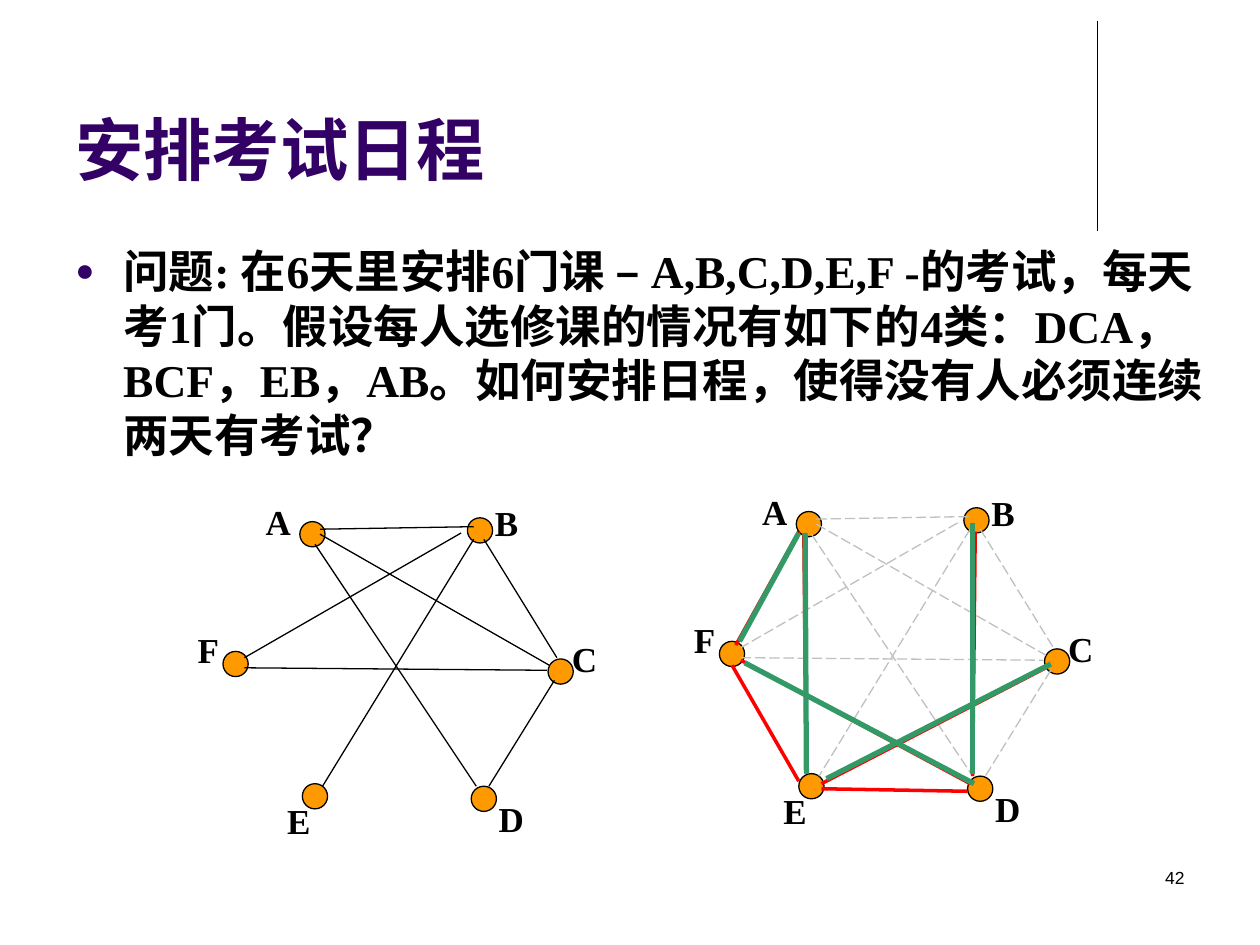
import pptx
import pptx.dml.color
import pptx.enum.dml
import pptx.enum.shapes
import pptx.enum.text
import pptx.oxml
import pptx.oxml.ns
import pptx.util
from pptx.util import Inches

COLORS = {
    "ink": "000000",
    "title": "330066",
    "node": "FF9900",
    "faint": "C0C0C0",
    "red": "FF0000",
    "green": "339966",
}
SERIF = "Times New Roman"
SANS = "Arial"

NODES = {
    "A": (2.38, 4.14),
    "B": (3.71, 4.11),
    "C": (4.35, 5.23),
    "D": (3.74, 6.24),
    "E": (2.4, 6.22),
    "F": (1.77, 5.17),
}
LABELS = {
    "A": (2.01, 3.92),
    "B": (3.83, 3.93),
    "C": (4.44, 5.01),
    "D": (3.86, 6.28),
    "E": (2.18, 6.3),
    "F": (1.47, 4.94),
}
CONFLICTS = [
    (2.5, 4.32, 3.78, 6.24),
    (2.54, 4.24, 4.36, 5.28),
    (4.4, 5.4, 3.88, 6.24),
    (3.84, 4.28, 4.42, 5.22),
    (3.66, 4.23, 1.94, 5.22),
    (1.94, 5.3, 4.34, 5.32),
    (3.76, 4.28, 2.56, 6.24),
    (2.54, 4.2, 3.76, 4.18),
]
COMPATIBLE = [
    (6.34, 4.22, 5.84, 5.12),
    (6.38, 4.24, 6.4, 6.14),
    (7.74, 4.22, 7.72, 6.16),
    (8.3, 5.3, 6.52, 6.22),
    (5.88, 5.24, 7.7, 6.22),
    (6.52, 6.26, 7.68, 6.28),
    (5.81, 5.28, 6.34, 6.2),
]
SCHEDULE = [
    (7.72, 4.15, 7.72, 6.14),
    (5.91, 5.26, 7.73, 6.22),
    (5.87, 5.09, 6.34, 4.23),
    (6.39, 4.23, 6.4, 6.14),
    (6.56, 6.18, 8.34, 5.27),
]


class SlideBuilder:
    """Draws text, nodes, lines and graphs on one page in a shared style."""

    def __init__(self, page):
        self.page = page

    def color(self, name):
        return pptx.dml.color.RGBColor.from_string(COLORS[name])

    def text(self, words, left, top, width, height, size, font=SERIF, color="ink",
             bold=True, bullet=False, grow=False, align="LEFT", anchor="TOP"):
        box = self.page.shapes.add_textbox(
            Inches(left), Inches(top), Inches(width), Inches(height))
        frame = box.text_frame
        frame.word_wrap = True
        frame.vertical_anchor = pptx.enum.text.MSO_ANCHOR[anchor]
        if grow:
            frame.auto_size = pptx.enum.text.MSO_AUTO_SIZE.SHAPE_TO_FIT_TEXT
        para = frame.paragraphs[0]
        para.alignment = pptx.enum.text.PP_ALIGN[align]
        if bullet:
            self.bullet(para)
        span = para.add_run()
        span.text = words
        span.font.name = font
        span.font.size = pptx.util.Pt(size)
        span.font.bold = bold
        span.font.color.rgb = self.color(color)

    def bullet(self, para):
        properties = para._p.get_or_add_pPr()
        properties.set("marL", str(Inches(0.38)))
        properties.set("indent", str(Inches(-0.38)))
        namespace = pptx.oxml.ns.nsdecls("a")
        for element in (
            f'<a:buClr {namespace}><a:srgbClr val="{COLORS["title"]}"/></a:buClr>',
            f'<a:buSzPct {namespace} val="70000"/>',
            f'<a:buFont {namespace} typeface="{SANS}"/>',
            f'<a:buChar {namespace} char="●"/>',
        ):
            properties.append(pptx.oxml.parse_xml(element))

    def node(self, left, top):
        circle = self.page.shapes.add_shape(
            pptx.enum.shapes.MSO_SHAPE.OVAL,
            Inches(left), Inches(top), Inches(0.2), Inches(0.2))
        circle.shadow.inherit = False
        circle.fill.solid()
        circle.fill.fore_color.rgb = self.color("node")
        circle.line.color.rgb = self.color("ink")
        circle.line.width = pptx.util.Pt(0.75)

    def line(self, ends, color="ink", width=0.75, dashed=False):
        edge = self.page.shapes.add_connector(
            pptx.enum.shapes.MSO_CONNECTOR.STRAIGHT, *map(Inches, ends))
        edge.line.color.rgb = self.color(color)
        edge.line.width = pptx.util.Pt(width)
        if dashed:
            edge.line.dash_style = pptx.enum.dml.MSO_LINE.LONG_DASH
        edge._element.spPr.append(pptx.oxml.parse_xml(
            f'<a:effectLst {pptx.oxml.ns.nsdecls("a")}/>'))

    def graph(self, dx=0, dy=0, color="ink", dashed=False):
        for left, top in NODES.values():
            self.node(left + dx, top + dy)
        for name, (left, top) in LABELS.items():
            self.text(name, left + dx, top + dy, 0.47, 0.43, 20, grow=True)
        for x1, y1, x2, y2 in CONFLICTS:
            self.line((x1 + dx, y1 + dy, x2 + dx, y2 + dy), color, dashed=dashed)


def main():
    deck = pptx.Presentation()
    deck.slide_width = Inches(10)
    deck.slide_height = Inches(7.5)
    builder = SlideBuilder(deck.slides.add_slide(deck.slide_layouts[6]))

    builder.line((8.71, 0.17, 8.71, 1.83))
    builder.text("安排考试日程", 0.5, 0.13, 8.25, 1.42, 39, SANS, "title", anchor="BOTTOM")
    builder.text(
        "问题: 在6天里安排6门课 – A,B,C,D,E,F -的考试，每天考1门。"
        "假设每人选修课的情况有如下的4类：DCA，BCF，EB，AB。"
        "如何安排日程，使得没有人必须连续两天有考试？",
        0.5, 1.88, 9.23, 2.03, 26, bullet=True)

    builder.graph()
    builder.graph(3.94, -0.08, "faint", dashed=True)
    for ends in COMPATIBLE:
        builder.line(ends, "red", 2)
    for ends in SCHEDULE:
        builder.line(ends, "green", 3)

    builder.text("42", 7.17, 6.83, 2.33, 0.5, 10, SANS, bold=False, align="RIGHT")
    deck.save("out.pptx")


if __name__ == "__main__":
    main()
